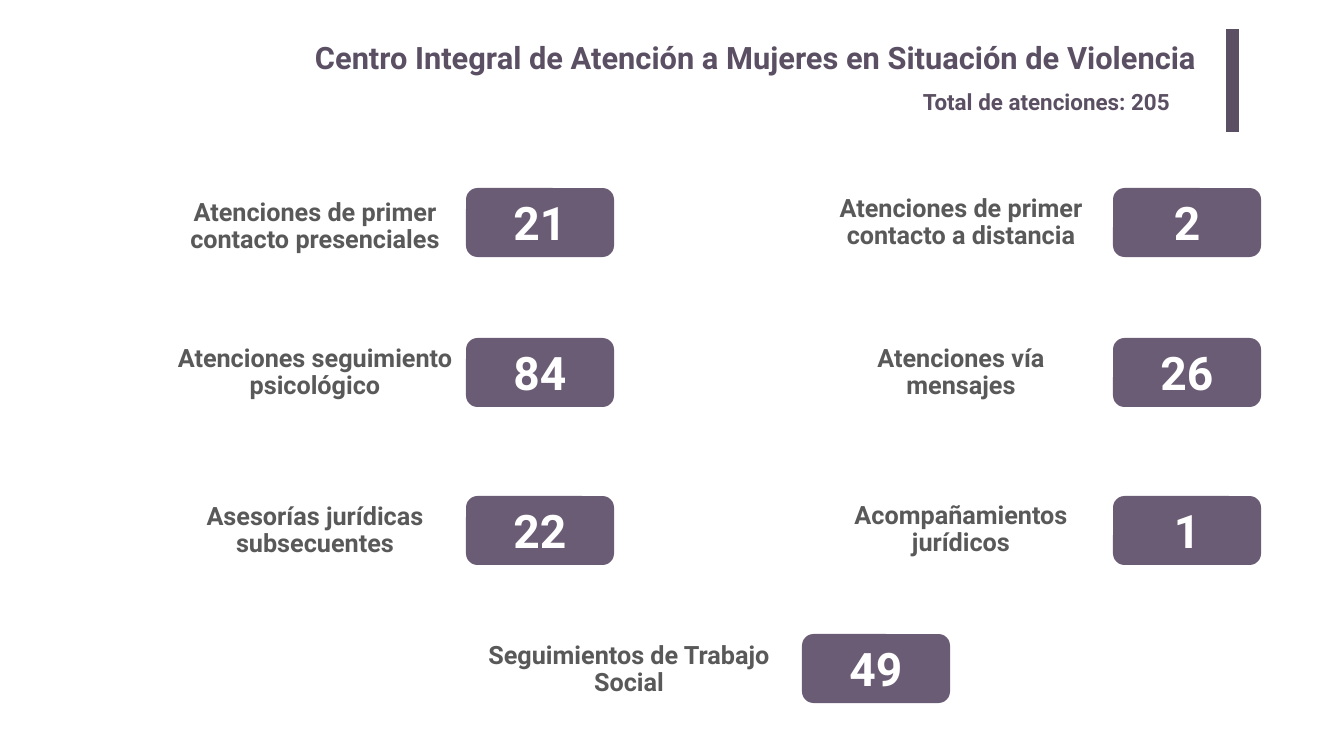
"""Builds the slide with the attention figures of the women's support centre."""
from pptx import Presentation
from pptx.dml.color import RGBColor
from pptx.enum.shapes import MSO_SHAPE
from pptx.enum.text import MSO_ANCHOR, MSO_AUTO_SIZE, PP_ALIGN
from pptx.util import Emu, Pt

TITLE = "Centro Integral de Atención a Mujeres en Situación de Violencia"
TOTAL = "Total de atenciones: 205"

# label, figure, column, row, label top, label width, label height
SERVICES = [
    ("Atenciones de primer contacto presenciales", "21", "left", 0, 192, 276, 69),
    ("Atenciones de primer contacto a distancia", "2", "right", 0, 192, 260, 61),
    ("Atenciones seguimiento psicológico", "84", "left", 1, 359, 394, 27),
    ("Atenciones vía\vmensajes", "26", "right", 1, 346, 298, 53),
    ("Asesorías jurídicas subsecuentes", "22", "left", 2, 511, 305, 40),
    ("Acompañamientos jurídicos", "1", "right", 2, 514, 326, 32),
    ("Seguimientos de Trabajo Social", "49", "middle", 3, 634, 327, 71),
]
LABEL_CENTERS = {"left": 315, "right": 961, "middle": 629}
BADGE_LEFTS = {"left": 466, "right": 1113, "middle": 802}
BADGE_TOPS = [188, 338, 496, 634]
BADGE_SIZE = (148, 69)

PX = 914400 / 50.4
FONT = "Roboto"
PLUM = RGBColor(0x5B, 0x4F, 0x63)
MAUVE = RGBColor(0x6A, 0x5C, 0x74)
GRAY = RGBColor(0x59, 0x59, 0x59)
WHITE = RGBColor(0xFF, 0xFF, 0xFF)


def box(*lengths):
    return [Emu(round(length * PX)) for length in lengths]


def write(shape, text, *, size, color, align=PP_ALIGN.CENTER,
          anchor=MSO_ANCHOR.MIDDLE, spacing=1.0):
    frame = shape.text_frame
    frame.text = text
    frame.word_wrap = True
    frame.auto_size = MSO_AUTO_SIZE.NONE
    frame.vertical_anchor = anchor
    paragraph = frame.paragraphs[0]
    paragraph.alignment = align
    paragraph.line_spacing = spacing
    font = paragraph.font
    font.name, font.size, font.bold = FONT, Pt(size), True
    font.color.rgb = color
    return frame


def add_block(slide, kind, color, *place):
    block = slide.shapes.add_shape(kind, *box(*place))
    block.shadow.inherit = False
    block.fill.solid()
    block.fill.fore_color.rgb = color
    block.line.fill.background()
    return block


def add_service(slide, label, figure, column, row, top, width, height):
    left = LABEL_CENTERS[column] - width / 2
    caption = slide.shapes.add_textbox(*box(left, top, width, height))
    write(caption, label, size=36, color=GRAY, spacing=0.9)
    badge = add_block(slide, MSO_SHAPE.ROUNDED_RECTANGLE, MAUVE,
                      BADGE_LEFTS[column], BADGE_TOPS[row], *BADGE_SIZE)
    write(badge, figure, size=66, color=WHITE)


def main():
    deck = Presentation()
    deck.slide_width, deck.slide_height = box(1344, 756)
    slide = deck.slides.add_slide(deck.slide_layouts[5])

    title = slide.shapes.title
    title.left, title.top, title.width, title.height = box(184, 34, 1023, 51)
    frame = write(title, TITLE, size=44, color=PLUM, align=PP_ALIGN.RIGHT,
                  anchor=MSO_ANCHOR.TOP)
    frame.margin_left, frame.margin_right = box(10, 10)
    frame.margin_top, frame.margin_bottom = box(5, 5)

    add_block(slide, MSO_SHAPE.RECTANGLE, PLUM, 1226, 29, 13, 103)
    total = slide.shapes.add_textbox(*box(918, 86, 298, 32))
    write(total, TOTAL, size=32, color=PLUM, align=PP_ALIGN.LEFT,
          anchor=MSO_ANCHOR.TOP)

    for service in SERVICES:
        add_service(slide, *service)
    deck.save("out.pptx")


if __name__ == "__main__":
    main()
